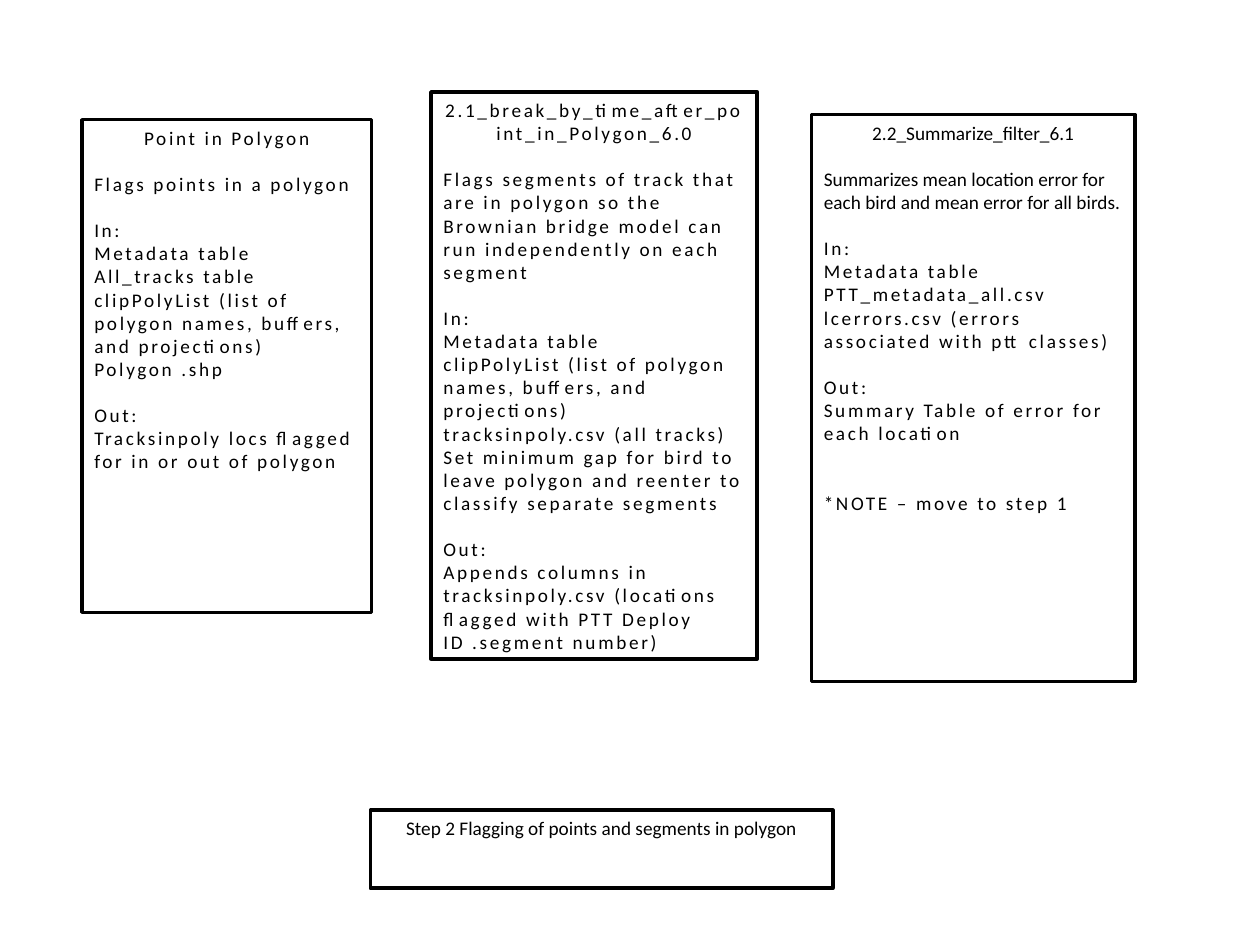
"""Build the slide that outlines step 2, flagging points and segments in polygons."""
from pptx import Presentation
from pptx.dml.color import RGBColor
from pptx.enum.shapes import MSO_SHAPE as Shape
from pptx.enum.text import MSO_ANCHOR as Anchor, PP_ALIGN as Align
from pptx.util import Inches, Pt

BLACK = RGBColor(0, 0, 0)
WHITE = RGBColor(255, 255, 255)
BLANK_LINE = 13.25
WIDE = 1.5

POLYGON_LIST = "clipPolyList (list of polygon names, buffers, and projections)"

CARDS = [
    {
        "place": (3.42, 0.73, 2.59, 4.5),
        "title": "2.1_break_by_time_after_point_in_Polygon_6.0",
        "title_tracking": WIDE,
        "sections": [
            (1, WIDE, ["Flags segments of track that are in polygon so the Brownian "
                       "bridge model can run independently on each segment"]),
            (1, WIDE, ["In:", "Metadata table", POLYGON_LIST,
                       "tracksinpoly.csv (all tracks)",
                       "Set minimum gap for bird to leave polygon and reenter to "
                       "classify separate segments"]),
            (1, WIDE, ["Out:",
                       "Appends columns in tracksinpoly.csv (locations flagged with "
                       "PTT Deploy ID .segment number)"]),
        ],
    },
    {
        "place": (6.44, 0.91, 2.57, 4.5),
        "title": "2.2_Summarize_filter_6.1",
        "title_tracking": 0,
        "sections": [
            (1, 0, ["Summarizes mean location error for each bird and mean error "
                    "for all birds."]),
            (1, WIDE, ["In:", "Metadata table", "PTT_metadata_all.csv",
                       "lcerrors.csv (errors associated with ptt classes)"]),
            (1, WIDE, ["Out:", "Summary Table of error for each location"]),
            (2, WIDE, ["*NOTE – move to step 1"]),
        ],
    },
    {
        "place": (0.65, 0.95, 2.3, 3.91),
        "title": "Point in Polygon",
        "title_tracking": WIDE,
        "sections": [
            (1, WIDE, ["Flags points in a polygon"]),
            (1, WIDE, ["In:", "Metadata table", "All_tracks table", POLYGON_LIST,
                       "Polygon .shp"]),
            (1, WIDE, ["Out:", "Tracksinpoly locs flagged for in or out of polygon"]),
        ],
    },
    {
        "place": (2.94, 6.43, 3.67, 0.62),
        "title": "Step 2 Flagging of points and segments in polygon",
        "title_tracking": 0,
        "sections": [],
    },
]


def write(para, text, align=Align.LEFT, tracking=0, before=0):
    """Put formatted text into a paragraph."""
    para.alignment = align
    para.space_before = Pt(before)
    span = para.add_run()
    span.text = text
    span.font.name = "Calibri"
    span.font.size = Pt(11)
    span.font.color.rgb = BLACK
    if tracking:
        span.font._element.set("spc", str(round(tracking * 100)))


def add_card(page, place, title, title_tracking, sections):
    """Draw one outlined box with its title and sections."""
    box = page.shapes.add_shape(Shape.RECTANGLE, *map(Inches, place))
    box.shadow.inherit = False
    box.fill.solid()
    box.fill.fore_color.rgb = WHITE
    box.line.color.rgb = BLACK
    box.line.width = Pt(2)
    frame = box.text_frame
    frame.word_wrap = True
    frame.vertical_anchor = Anchor.TOP
    write(frame.paragraphs[0], title, align=Align.CENTER, tracking=title_tracking)
    for blanks, tracking, lines in sections:
        for index, line in enumerate(lines):
            before = 0 if index else blanks * BLANK_LINE
            write(frame.add_paragraph(), line, tracking=tracking, before=before)


def main():
    """Create and save the deck."""
    deck = Presentation()
    deck.slide_width, deck.slide_height = Inches(10), Inches(7.5)
    page = deck.slides.add_slide(deck.slide_layouts[6])
    for card in CARDS:
        add_card(page, **card)
    deck.save("out.pptx")


if __name__ == "__main__":
    main()
